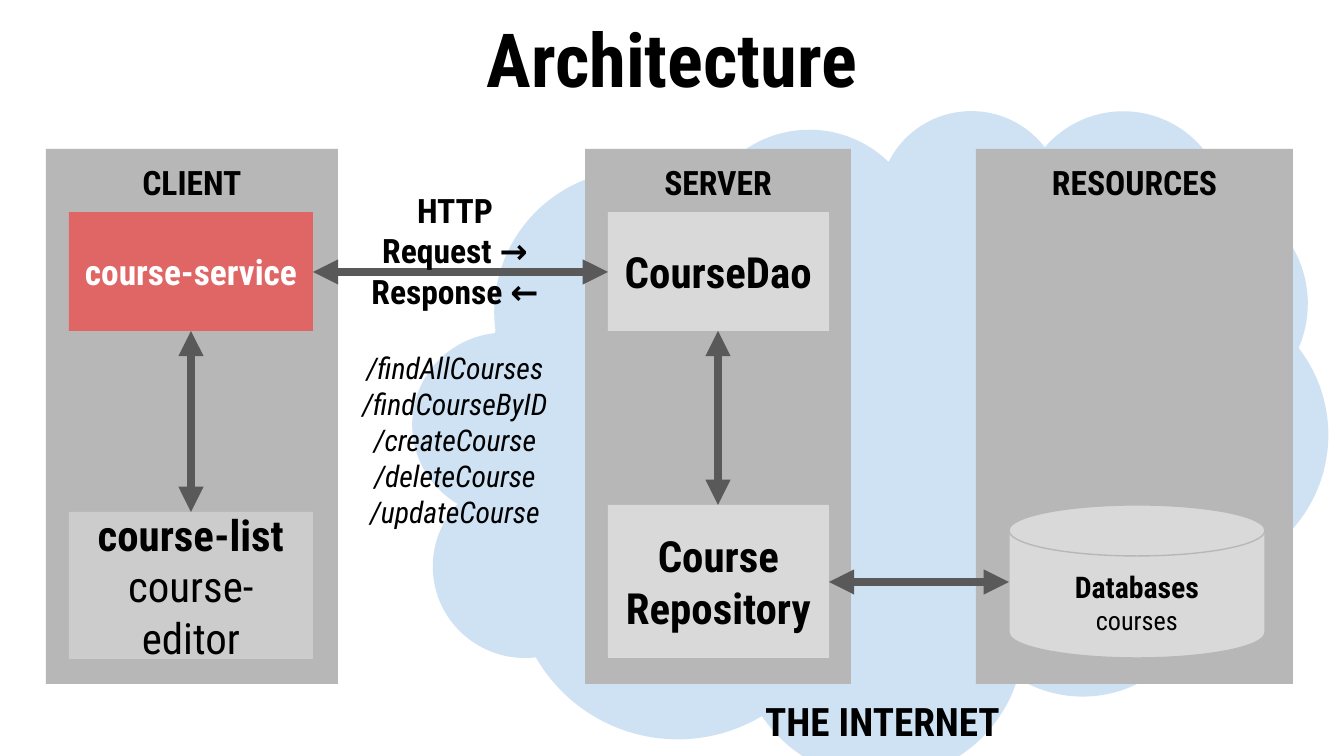
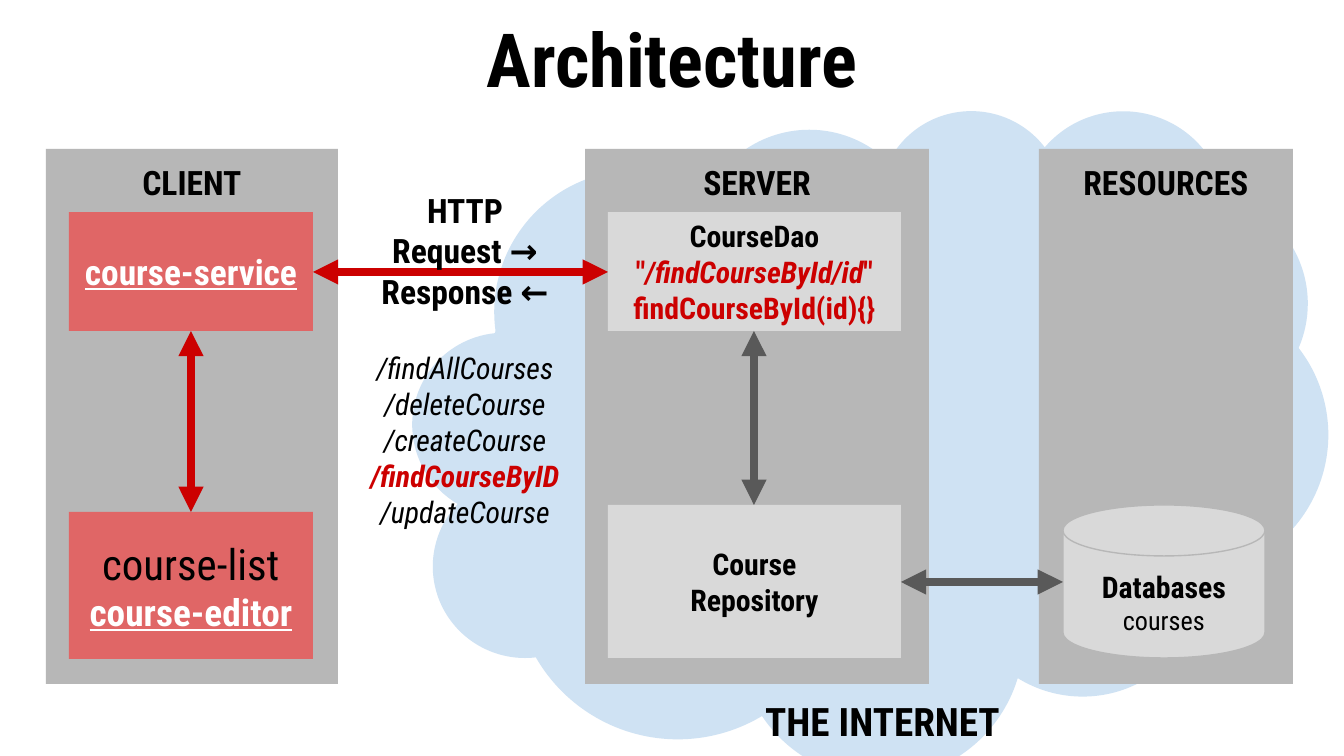
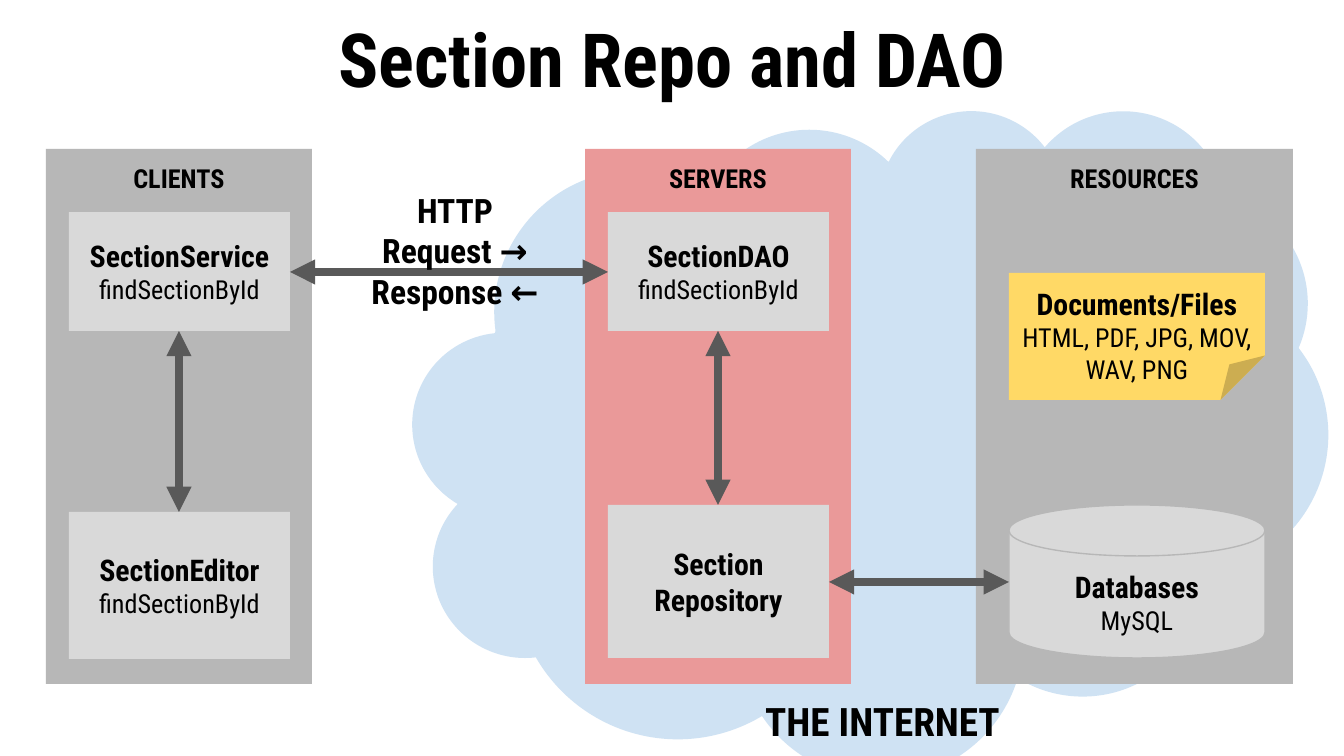
from dataclasses import dataclass
from typing import NamedTuple

from lxml import etree
from pptx import Presentation
from pptx.dml.color import RGBColor
from pptx.enum.shapes import MSO_CONNECTOR, MSO_SHAPE
from pptx.enum.text import MSO_ANCHOR, PP_ALIGN
from pptx.oxml.ns import qn
from pptx.util import Emu, Pt

STRAIGHT = MSO_CONNECTOR.STRAIGHT
RECTANGLE = MSO_SHAPE.RECTANGLE
CLOUD = MSO_SHAPE.CLOUD
CYLINDER = MSO_SHAPE.FLOWCHART_MAGNETIC_DISK
FOLDED_NOTE = MSO_SHAPE.FOLDED_CORNER
TOP, MIDDLE = MSO_ANCHOR.TOP, MSO_ANCHOR.MIDDLE
CENTER = PP_ALIGN.CENTER

PX_PER_INCH = 134.4
EMU_PER_PX = 914400 / PX_PER_INCH
PAGE_WIDTH, PAGE_HEIGHT = 1344, 756
INSET = 13
FOLD = 0.35


def px(length: float) -> Emu:
    return Emu(round(length * EMU_PER_PX))


@dataclass(frozen=True)
class Theme:
    font: str = "Roboto Condensed"
    ink: str = "000000"
    white: str = "FFFFFF"
    sky: str = "CFE2F3"
    panel: str = "B7B7B7"
    panel_active: str = "EA9999"
    card: str = "D9D9D9"
    card_muted: str = "CCCCCC"
    card_active: str = "E06666"
    note: str = "FFD966"
    arrow: str = "595959"
    accent: str = "CC0000"
    title: int = 40
    large: int = 23
    internet: int = 21
    link: int = 20
    service: int = 19
    heading: int = 18
    name: int = 16
    detail: int = 14
    arrow_width: float = 4.5
    outline_width: float = 0.75
    section_gap: int = 21


THEME = Theme()


class Rect(NamedTuple):
    left: int
    top: int
    width: int
    height: int

    @property
    def right(self) -> int:
        return self.left + self.width

    @property
    def bottom(self) -> int:
        return self.top + self.height

    @property
    def middle(self) -> int:
        return self.left + self.width // 2


@dataclass(frozen=True)
class Span:
    text: str
    size: int = THEME.name
    bold: bool = False
    italic: bool = False
    underline: bool = False
    color: str = THEME.ink


@dataclass(frozen=True)
class Line:
    """One paragraph: its spans and the space above it in points."""
    spans: tuple[Span, ...]
    gap: int = 0


@dataclass(frozen=True)
class Slot:
    """Vertical place and form of a card inside a column."""
    top: int
    height: int
    shape: int = RECTANGLE
    anchor: int = MIDDLE
    outline: str | None = None


@dataclass(frozen=True)
class Card:
    slot: Slot
    lines: tuple[Line, ...]
    fill: str = THEME.card


@dataclass(frozen=True)
class Column:
    heading: str
    left: int
    width: int
    card_left: int
    card_width: int
    cards: tuple[Card, ...]
    fill: str = THEME.panel
    heading_size: int = THEME.heading

    def card_rect(self, card: Card) -> Rect:
        return Rect(self.card_left, card.slot.top, self.card_width, card.slot.height)


@dataclass(frozen=True)
class Scene:
    title: str
    client: Column
    server: Column
    resources: Column
    exchange_left: int = 339
    endpoints: tuple[Line, ...] = ()
    client_arrow: str = THEME.arrow


COLUMN_TOP, COLUMN_HEIGHT = 149, 535
STORE_LINK_Y = 582
TITLE_AREA = Rect(0, 0, PAGE_WIDTH, 101)
CLOUD_AREA = Rect(413, 109, 915, 668)
INTERNET_AREA = Rect(732, 684, 301, 54)
EXCHANGE_TOP, EXCHANGE_WIDTH = 177, 232
EXCHANGE_HEIGHT, EXCHANGE_LIST_HEIGHT = 120, 507

UPPER = Slot(212, 119)
EDITOR = Slot(512, 147)
REPOSITORY = Slot(505, 153)
DATABASE = Slot(505, 153, CYLINDER, TOP, THEME.panel)
DOCUMENTS = Slot(273, 127, FOLDED_NOTE, TOP)


def line(text: str, gap: int = 0, **style) -> Line:
    return Line((Span(text, **style),), gap)


def named(name: str, detail: str) -> tuple[Line, ...]:
    """A bold name above a plain detail."""
    return line(name, bold=True), line(detail, size=THEME.detail)


def endpoints(*routes: str, active: str = "") -> tuple[Line, ...]:
    return tuple(
        line(route, gap=0 if index else THEME.section_gap, italic=True,
             bold=route == active,
             color=THEME.accent if route == active else THEME.ink)
        for index, route in enumerate(routes))


def client(upper: Card, lower: Card) -> Column:
    return Column("CLIENT", 46, 292, 69, 244, (upper, lower))


EXCHANGE = tuple(line(text, size=THEME.heading, bold=True)
                 for text in ("HTTP", "Request →", "Response ←"))
COURSES = Card(DATABASE, named("Databases", "courses"))

SCENES = (
    Scene(
        "Architecture",
        client(
            Card(UPPER, (line("course-service", size=THEME.service, bold=True,
                              color=THEME.white),), THEME.card_active),
            Card(EDITOR, (line("course-list", size=THEME.large, bold=True),
                          line("course-editor", size=THEME.large)),
                 THEME.card_muted)),
        Column("SERVER", 585, 266, 608, 221, (
            Card(UPPER, (line("CourseDao", size=THEME.large, bold=True),)),
            Card(REPOSITORY, (line("Course\nRepository", size=THEME.large,
                                   bold=True),)))),
        Column("RESOURCES", 976, 317, 1009, 256, (COURSES,)),
        endpoints=endpoints("/findAllCourses", "/findCourseByID", "/createCourse",
                            "/deleteCourse", "/updateCourse")),
    Scene(
        "Architecture",
        client(
            Card(UPPER, (line("course-service", size=THEME.service, bold=True,
                              underline=True, color=THEME.white),),
                 THEME.card_active),
            Card(EDITOR, (line("course-list", size=THEME.large),
                          line("course-editor", size=THEME.link, bold=True,
                               underline=True, color=THEME.white)),
                 THEME.card_active)),
        Column("SERVER", 585, 344, 608, 293, (
            Card(UPPER, (
                line("CourseDao", bold=True),
                Line((Span('"', bold=True, color=THEME.accent),
                      Span("/findCourseById/id", bold=True, italic=True,
                           color=THEME.accent),
                      Span('"', bold=True, color=THEME.accent))),
                line("findCourseById(id){}", bold=True, color=THEME.accent))),
            Card(REPOSITORY, (line("Course\nRepository", bold=True),)))),
        Column("RESOURCES", 1039, 254, 1063, 202, (COURSES,)),
        exchange_left=349,
        endpoints=endpoints("/findAllCourses", "/deleteCourse", "/createCourse",
                            "/findCourseByID", "/updateCourse",
                            active="/findCourseByID"),
        client_arrow=THEME.accent),
    Scene(
        "Section Repo and DAO",
        Column("CLIENTS", 46, 266, 69, 221, (
            Card(UPPER, named("SectionService", "findSectionById")),
            Card(EDITOR, named("SectionEditor", "findSectionById"))),
            heading_size=THEME.detail),
        Column("SERVERS", 585, 266, 608, 221, (
            Card(UPPER, named("SectionDAO", "findSectionById")),
            Card(REPOSITORY, (line("Section\nRepository", bold=True),))),
            fill=THEME.panel_active, heading_size=THEME.detail),
        Column("RESOURCES", 976, 317, 1009, 256, (
            Card(DOCUMENTS, named("Documents/Files",
                                  "HTML, PDF, JPG, MOV, WAV, PNG"), THEME.note),
            Card(DATABASE, named("Databases", "MySQL"))),
            heading_size=THEME.detail)),
)


def add_span(para, text: str, *, size: int, bold: bool, italic: bool,
             underline: bool, color: str) -> None:
    """Append text to a paragraph, with a line break at each newline."""
    for index, piece in enumerate(text.split("\n")):
        if index:
            para.add_line_break()
        run = para.add_run()
        run.text = piece
        font = run.font
        font.name, font.size = THEME.font, Pt(size)
        font.bold, font.italic, font.underline = bold, italic, underline
        font.color.rgb = RGBColor.from_string(color)


def write_lines(box, lines: tuple[Line, ...], anchor: int = TOP) -> None:
    frame = box.text_frame
    frame.word_wrap = True
    frame.vertical_anchor = anchor
    frame.margin_left = frame.margin_right = px(INSET)
    frame.margin_top = frame.margin_bottom = px(INSET)
    for index, item in enumerate(lines):
        para = frame.add_paragraph() if index else frame.paragraphs[0]
        para.alignment = CENTER
        if item.gap:
            para.space_before = Pt(item.gap)
        for span in item.spans:
            add_span(para, span.text, size=span.size, bold=span.bold,
                     italic=span.italic, underline=span.underline,
                     color=span.color)


def add_label(page, area: Rect, *lines: Line) -> None:
    write_lines(page.shapes.add_textbox(*map(px, area)), lines)


def set_fold(box) -> None:
    """Size the folded corner, which python-pptx lists no adjustment for."""
    guides = box._element.spPr.find(qn("a:prstGeom")).find(qn("a:avLst"))
    etree.SubElement(guides, qn("a:gd"), name="adj", fmla=f"val {round(FOLD * 100000)}")


def add_box(page, kind: int, area: Rect, fill: str, outline: str | None = None):
    box = page.shapes.add_shape(kind, *map(px, area))
    box.shadow.inherit = False
    box.fill.solid()
    box.fill.fore_color.rgb = RGBColor.from_string(fill)
    if outline:
        box.line.color.rgb = RGBColor.from_string(outline)
        box.line.width = Pt(THEME.outline_width)
    else:
        box.line.fill.background()
    if kind == FOLDED_NOTE:
        set_fold(box)
    return box


def add_column(page, column: Column) -> None:
    area = Rect(column.left, COLUMN_TOP, column.width, COLUMN_HEIGHT)
    panel = add_box(page, RECTANGLE, area, column.fill)
    write_lines(panel, (line(column.heading, size=column.heading_size, bold=True),))
    for card in column.cards:
        slot = card.slot
        box = add_box(page, slot.shape, column.card_rect(card), card.fill, slot.outline)
        write_lines(box, card.lines, slot.anchor)


def add_arrow(page, start: tuple[int, int], end: tuple[int, int], color: str) -> None:
    """Draw a line with a triangle at both ends."""
    arrow = page.shapes.add_connector(STRAIGHT, *map(px, start + end))
    arrow.line.color.rgb = RGBColor.from_string(color)
    arrow.line.width = Pt(THEME.arrow_width)
    outline = arrow._element.spPr.find(qn("a:ln"))
    for tag in ("a:headEnd", "a:tailEnd"):
        etree.SubElement(outline, qn(tag), type="triangle")
    etree.SubElement(arrow._element.spPr, qn("a:effectLst"))


def add_inner_arrow(page, column: Column, color: str) -> None:
    """Join the two cards of a column."""
    upper, lower = map(column.card_rect, column.cards)
    add_arrow(page, (lower.middle, lower.top), (upper.middle, upper.bottom), color)


def add_scene(deck, scene: Scene) -> None:
    page = deck.slides.add_slide(deck.slide_layouts[6])
    add_label(page, TITLE_AREA, line(scene.title, size=THEME.title, bold=True))
    add_box(page, CLOUD, CLOUD_AREA, THEME.sky)
    for column in (scene.resources, scene.client, scene.server):
        add_column(page, column)

    service = scene.client.card_rect(scene.client.cards[0])
    server_right = scene.server.card_left + scene.server.card_width
    link_y = service.top + service.height // 2 + 1
    add_arrow(page, (service.right, link_y), (scene.server.card_left, link_y),
              scene.client_arrow)
    height = EXCHANGE_LIST_HEIGHT if scene.endpoints else EXCHANGE_HEIGHT
    add_label(page, Rect(scene.exchange_left, EXCHANGE_TOP, EXCHANGE_WIDTH, height),
              *EXCHANGE, *scene.endpoints)
    add_arrow(page, (server_right, STORE_LINK_Y),
              (scene.resources.card_left, STORE_LINK_Y), THEME.arrow)
    add_label(page, INTERNET_AREA,
              line("THE INTERNET", size=THEME.internet, bold=True))
    add_inner_arrow(page, scene.server, THEME.arrow)
    add_inner_arrow(page, scene.client, scene.client_arrow)


def main() -> None:
    deck = Presentation()
    deck.slide_width, deck.slide_height = px(PAGE_WIDTH), px(PAGE_HEIGHT)
    for scene in SCENES:
        add_scene(deck, scene)
    deck.save("out.pptx")


if __name__ == "__main__":
    main()
